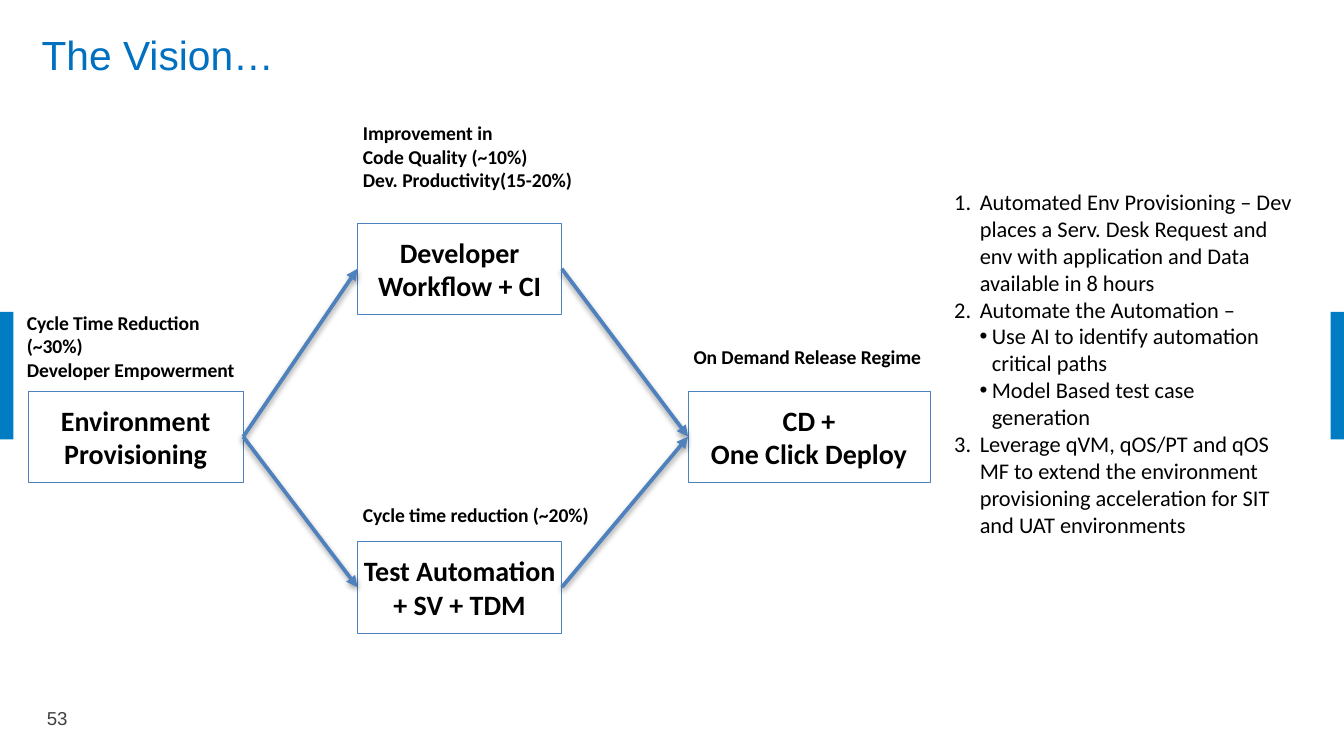
import dataclasses

import pptx
import pptx.dml.color
import pptx.enum.shapes
import pptx.enum.text
import pptx.oxml
import pptx.oxml.ns
import pptx.util

Inches = pptx.util.Inches
Pt = pptx.util.Pt
MSO_SHAPE = pptx.enum.shapes.MSO_SHAPE
ALIGN = pptx.enum.text.PP_ALIGN
ANCHOR = pptx.enum.text.MSO_ANCHOR
AUTO_SIZE = pptx.enum.text.MSO_AUTO_SIZE
NS = pptx.oxml.ns.nsdecls("a")


@dataclasses.dataclass(frozen=True)
class Theme:
    accent: str = "007CC3"
    title: str = "0070C0"
    line: str = "4F81BD"
    text: str = "000000"
    muted: str = "404040"
    heading_font: str = "Arial"
    body_font: str = "Calibri"
    title_size: float = 21.8
    stage_size: float = 15
    list_size: float = 12
    note_size: float = 10.5
    number_size: float = 10
    inset: float = 0.04


THEME = Theme()
RIGHT, LEFT = 3, 1  # connection sites of a rectangle


def rgb(value):
    return pptx.dml.color.RGBColor.from_string(value)


def write(paragraph, text, size, color=THEME.text, font=THEME.body_font, bold=False):
    run = paragraph.add_run()
    run.text = text
    run.font.name = font
    run.font.size = Pt(size)
    run.font.bold = bold
    run.font.color.rgb = rgb(color)


def write_lines(frame, lines, size, align=ALIGN.LEFT, **style):
    for index, line in enumerate(lines):
        paragraph = frame.paragraphs[0] if index == 0 else frame.add_paragraph()
        paragraph.alignment = align
        write(paragraph, line, size, **style)


def set_frame(frame, inset=THEME.inset, anchor=ANCHOR.TOP):
    frame.word_wrap = True
    frame.auto_size = AUTO_SIZE.NONE
    frame.vertical_anchor = anchor
    frame.margin_left = frame.margin_right = Inches(inset)
    frame.margin_top = frame.margin_bottom = Inches(THEME.inset)


def place(shape, box):
    shape.left, shape.top, shape.width, shape.height = map(Inches, box)


def add_rectangle(slide, box):
    rectangle = slide.shapes.add_shape(MSO_SHAPE.RECTANGLE, *map(Inches, box))
    rectangle.shadow.inherit = False
    return rectangle


def add_side_tabs(slide, box):
    """Coloured tabs at both ends of the given band."""
    left, top, width, height = box
    tab_width = 0.1
    for tab_left in (left, left + width - tab_width):
        tab = add_rectangle(slide, (tab_left, top, tab_width, height))
        tab.fill.solid()
        tab.fill.fore_color.rgb = rgb(THEME.accent)
        tab.line.fill.background()


def add_title(slide, box):
    title = slide.shapes.title
    place(title, box)
    set_frame(title.text_frame, 0.1, ANCHOR.MIDDLE)
    write_lines(title.text_frame, ["The Vision…"], THEME.title_size,
                color=THEME.title, font=THEME.heading_font)


def add_page_number(slide, box):
    number = slide.shapes.add_textbox(*map(Inches, box))
    set_frame(number.text_frame, 0.1, ANCHOR.MIDDLE)
    write_lines(number.text_frame, ["53"], THEME.number_size,
                color=THEME.muted, font=THEME.heading_font)


def add_stage(slide, box, lines):
    stage = add_rectangle(slide, box)
    stage.fill.background()
    stage.line.color.rgb = rgb(THEME.line)
    stage.line.width = Pt(0.25)
    set_frame(stage.text_frame, anchor=ANCHOR.MIDDLE)
    write_lines(stage.text_frame, lines, THEME.stage_size, ALIGN.CENTER, bold=True)
    return stage


def add_benefit(slide, box, lines):
    benefit = slide.shapes.add_textbox(*map(Inches, box))
    set_frame(benefit.text_frame)
    write_lines(benefit.text_frame, lines, THEME.note_size, bold=True)


def add_arrow(slide, source, target):
    arrow = slide.shapes.add_connector(
        pptx.enum.shapes.MSO_CONNECTOR.STRAIGHT, 0, 0, 0, 0)
    arrow.begin_connect(source, RIGHT)
    arrow.end_connect(target, LEFT)
    arrow.line.color.rgb = rgb(THEME.line)
    arrow.line.width = Pt(2)
    arrow.line._get_or_add_ln().append(
        pptx.oxml.parse_xml(f'<a:tailEnd {NS} type="triangle"/>'))
    # Soft shadow straight below the line
    arrow._element.spPr.append(pptx.oxml.parse_xml(
        f'<a:effectLst {NS}><a:outerShdw blurRad="{Pt(3)}" dist="{Pt(1.6)}" '
        f'dir="5400000" rotWithShape="0"><a:srgbClr val="{THEME.text}">'
        '<a:alpha val="38000"/></a:srgbClr></a:outerShdw></a:effectLst>'))


def add_flow(slide, box):
    """Diamond of four stages, each with its benefit above."""
    left, top, width, _ = box
    height = 0.68
    middle_x, middle_y = left + 2.45, top + 2.05
    last_width = 1.8
    last_x = left + width - last_width
    note_width = 1.79

    environment = add_stage(slide, (left, middle_y, 1.6, height),
                            ["Environment Provisioning"])
    workflow = add_stage(slide, (middle_x, top + 0.8, 1.52, height),
                         ["Developer Workflow + CI"])
    testing = add_stage(slide, (middle_x, top + 3.17, 1.52, height),
                        ["Test Automation + SV + TDM"])
    deploy = add_stage(slide, (last_x, middle_y, last_width, height),
                       ["CD +", "One Click Deploy"])

    for stage in (workflow, testing):
        add_arrow(slide, environment, stage)
        add_arrow(slide, stage, deploy)

    benefits = [
        (left - 0.05, top + 1.41, 0.61,
         ["Cycle Time Reduction (~30%)", "Developer Empowerment"]),
        (middle_x, top, 0.61,
         ["Improvement in", "Code Quality (~10%)", "Dev. Productivity(15-20%)"]),
        (middle_x, top + 2.84, 0.25, ["Cycle time reduction (~20%)"]),
        (last_x, top + 1.67, 0.25, ["On Demand Release Regime"]),
    ]
    for note_x, note_y, note_height, lines in benefits:
        add_benefit(slide, (note_x, note_y, note_width, note_height), lines)


def add_plan(slide, box):
    """Numbered list with bulleted sub-items."""
    plan = slide.placeholders[1]
    place(plan, box)
    set_frame(plan.text_frame)
    items = [
        (1, "Automated Env Provisioning – Dev places a Serv. Desk Request and env "
            "with application and Data available in 8 hours"),
        (2, "Automate the Automation –"),
        (None, "Use AI to identify automation critical paths"),
        (None, "Model Based test case generation"),
        (3, "Leverage qVM, qOS/PT and qOS MF to extend the environment "
            "provisioning acceleration for SIT and UAT environments"),
    ]
    for index, (number, text) in enumerate(items):
        paragraph = (plan.text_frame.paragraphs[0] if index == 0
                     else plan.text_frame.add_paragraph())
        if number:
            margin, hanging = 0.19, 0.19
            marks = (f'<a:buFontTx {NS}/>',
                     f'<a:buAutoNum {NS} type="arabicPeriod" startAt="{number}"/>')
        else:
            margin, hanging = 0.28, 0.09
            paragraph.level = 1
            marks = (f'<a:buFont {NS} typeface="{THEME.heading_font}"/>',
                     f'<a:buChar {NS} char="•"/>')
        properties = paragraph._p.get_or_add_pPr()
        properties.set("marL", str(Inches(margin)))
        properties.set("indent", str(-Inches(hanging)))
        for mark in marks:
            properties.append(pptx.oxml.parse_xml(mark))
        paragraph.space_before = Pt(0)
        write(paragraph, text, THEME.list_size)


def main():
    deck = pptx.Presentation()
    deck.slide_width, deck.slide_height = Inches(10), Inches(10 * 9 / 16)
    slide = deck.slides.add_slide(deck.slide_layouts[1])
    add_side_tabs(slide, (0, 2.32, 10, 0.95))
    add_title(slide, (0.21, 0.15, 9.54, 0.5))
    add_page_number(slide, (0.25, 5.19, 0.51, 0.31))
    add_flow(slide, (0.21, 0.86, 6.71, 3.85))
    add_plan(slide, (7.06, 1.36, 2.62, 2.7))
    deck.save("out.pptx")


if __name__ == "__main__":
    main()
